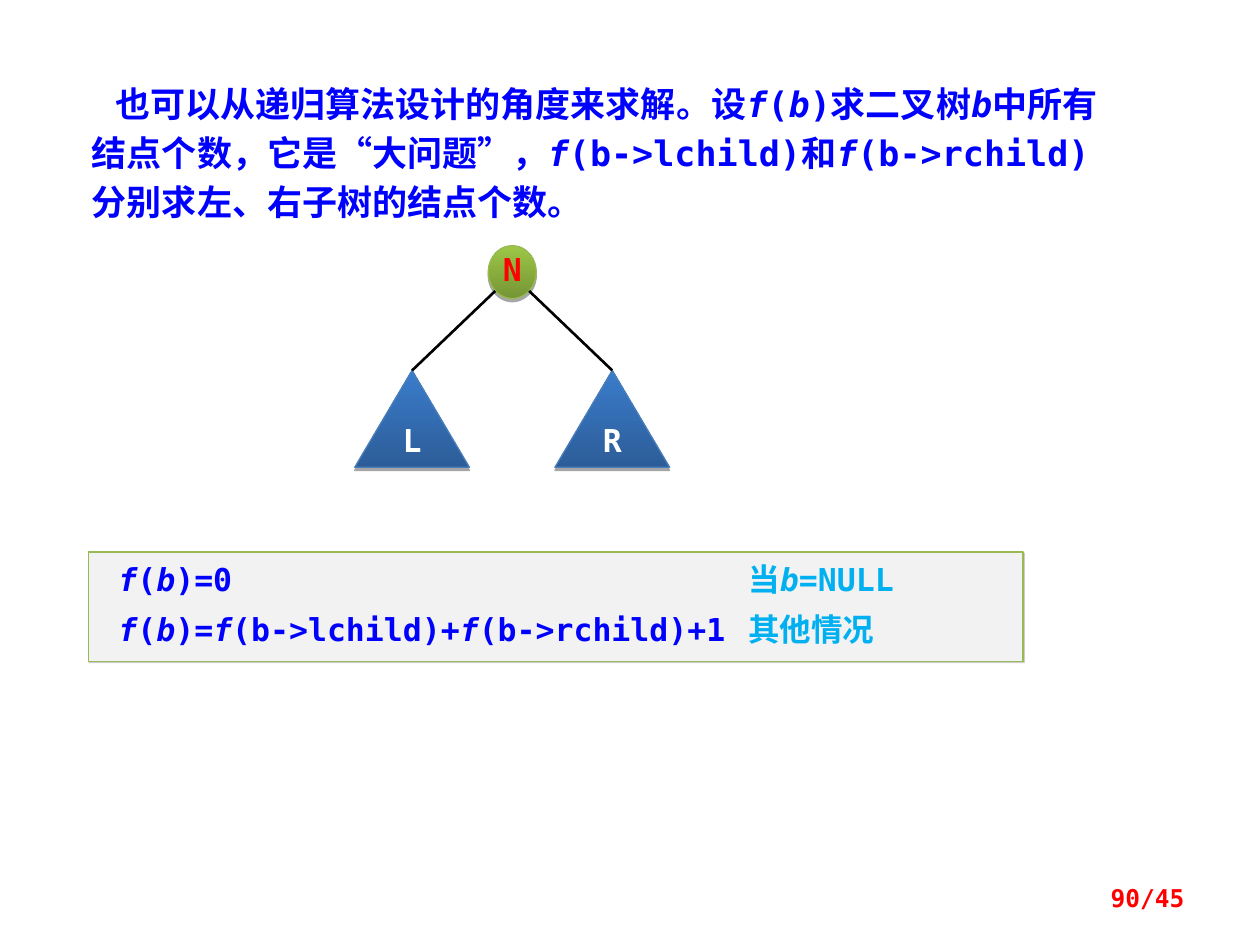
import pptx
import pptx.util
import pptx.dml.color
import pptx.enum.shapes
import pptx.enum.text
import pptx.oxml
import pptx.oxml.ns

Pt = pptx.util.Pt
Kind = pptx.enum.shapes.MSO_SHAPE
Align = pptx.enum.text.PP_ALIGN
Anchor = pptx.enum.text.MSO_ANCHOR
NS = pptx.oxml.ns.nsdecls("a")
BLUE, CYAN, RED, WHITE = "0000FF", "00B0F0", "FF0000", "FFFFFF"
GREEN, NAVY = ("769535", "9CC746"), ("2C5D98", "3A7CCB")


def tint(code):
    return pptx.dml.color.RGBColor.from_string(code)


class Deck:
    font = "DejaVu Sans Mono"

    def __init__(self, wide, high):
        self.show = pptx.Presentation()
        self.show.slide_width, self.show.slide_height = Pt(wide), Pt(high)
        self.slide = self.show.slides.add_slide(self.show.slide_layouts[6])
        self.home = self.slide.shapes

    def group(self):
        self.home = self.slide.shapes.add_group_shape().shapes

    def leave(self):
        self.home = self.slide.shapes

    def label(self, shape, rows, size, pad=(7.2, 3.6), align=Align.LEFT,
              anchor=Anchor.TOP, space=0.8, gap=11.2, first=0, tab=None):
        frame = shape.text_frame
        frame.word_wrap = True
        frame.vertical_anchor = anchor
        frame.margin_left, frame.margin_right = Pt(pad[0]), Pt(min(pad[0], 7.2))
        frame.margin_top = frame.margin_bottom = Pt(pad[1])
        for i, row in enumerate(rows):
            para = frame.add_paragraph() if i else frame.paragraphs[0]
            para.alignment = align
            para.line_spacing = space
            para.space_before = Pt(gap if i else 0)
            props = para._p.get_or_add_pPr()
            if first:
                props.set("indent", str(Pt(first)))
            if tab:
                props.append(pptx.oxml.parse_xml(
                    f'<a:tabLst {NS}><a:tab pos="{Pt(tab)}" algn="l"/></a:tabLst>'))
            for hue, words in row:
                for j, word in enumerate(words.split("*")):
                    if word:
                        self.run(para, word, size, hue, j % 2 == 1)

    def run(self, para, word, size, hue, slant):
        run = para.add_run()
        run.text = word
        font = run.font
        font.name, font.size = self.font, Pt(size)
        font.bold, font.italic = True, slant
        font.color.rgb = tint(hue)

    def text(self, box, rows, size, **style):
        shape = self.home.add_textbox(*map(Pt, box))
        self.label(shape, rows, size, **style)

    def shape(self, kind, box, fill, edge, shade):
        shape = self.home.add_shape(kind, *map(Pt, box))
        if isinstance(fill, tuple):
            shape.fill.gradient()
            shape.fill.gradient_angle = 90
            for stop, hue in zip(shape.fill.gradient_stops, fill):
                stop.color.rgb = tint(hue)
        else:
            shape.fill.solid()
            shape.fill.fore_color.rgb = tint(fill)
        shape.line.color.rgb = tint(edge)
        shape.line.width = Pt(0.75)
        shape.shadow.inherit = False
        alpha, dist, turn = shade
        effect = shape._element.spPr.find(pptx.oxml.ns.qn("a:effectLst"))
        effect.append(pptx.oxml.parse_xml(
            f'<a:outerShdw {NS} blurRad="0" dist="{Pt(dist)}" dir="{turn * 60000}" '
            f'rotWithShape="0"><a:srgbClr val="000000"><a:alpha val="{alpha * 1000}"/>'
            '</a:srgbClr></a:outerShdw>'))
        return shape

    def node(self, kind, box, fill, edge, name, hue, pad):
        shape = self.shape(kind, box, fill, edge, (35, 1.8, 90))
        self.label(shape, [[(hue, name)]], 18, pad=pad,
                   align=Align.CENTER, anchor=Anchor.MIDDLE)
        return shape

    def link(self, x, y, leaf):
        line = self.home.add_connector(
            pptx.enum.shapes.MSO_CONNECTOR.STRAIGHT, Pt(x), Pt(y), Pt(x), Pt(y))
        line.end_connect(leaf, 0)
        line.line.color.rgb = tint("000000")
        line.line.width = Pt(1.5)
        line._element.spPr.append(pptx.oxml.parse_xml(f"<a:effectLst {NS}/>"))


def main():
    deck = Deck(720, 540)
    deck.text((45.4, 39.6, 602, 91.4), [[(
        BLUE, "也可以从递归算法设计的角度来求解。设*f*(*b*)求二叉树*b*中所有结点个数，"
        "它是“大问题”，*f*(b->lchild)和*f*(b->rchild)分别求左、右子树的结点个数。")]],
        20, space=Pt(28), first=13.3)

    mid = 292.7
    deck.group()
    deck.node(Kind.OVAL, (mid - 13.7, 140.4, 27.4, 30.2), GREEN, "98B954",
              "N", RED, (0, 3.6))
    leaves = [deck.node(Kind.ISOSCELES_TRIANGLE,
                        (mid + side * 57.2 - 32.8, 211.7, 65.6, 55.4),
                        NAVY, "4A7EBB", name, WHITE, (7.2, 3.6))
              for side, name in ((-1, "L"), (1, "R"))]
    for side, leaf in zip((-1, 1), leaves):
        deck.link(mid + side * 9.7, 166.3, leaf)
    deck.leave()

    rule = deck.shape(Kind.RECTANGLE, (50.4, 315.4, 534.2, 62.6),
                      "F2F2F2", "98B954", (20, 1, 45))
    deck.label(rule, [
        [(BLUE, "*f*(*b*)=0\t"), (CYAN, "当*b*=NULL")],
        [(BLUE, "*f*(*b*)=*f*(b->lchild)+*f*(b->rchild)+1\t"), (CYAN, "其他情况")]],
        18, pad=(17.3, 8.6), tab=360)
    deck.text((516.2, 500.4, 167.8, 28.8), [[(RED, "90/45")]], 14,
              align=Align.RIGHT, anchor=Anchor.MIDDLE)
    deck.show.save("out.pptx")


if __name__ == "__main__":
    main()
